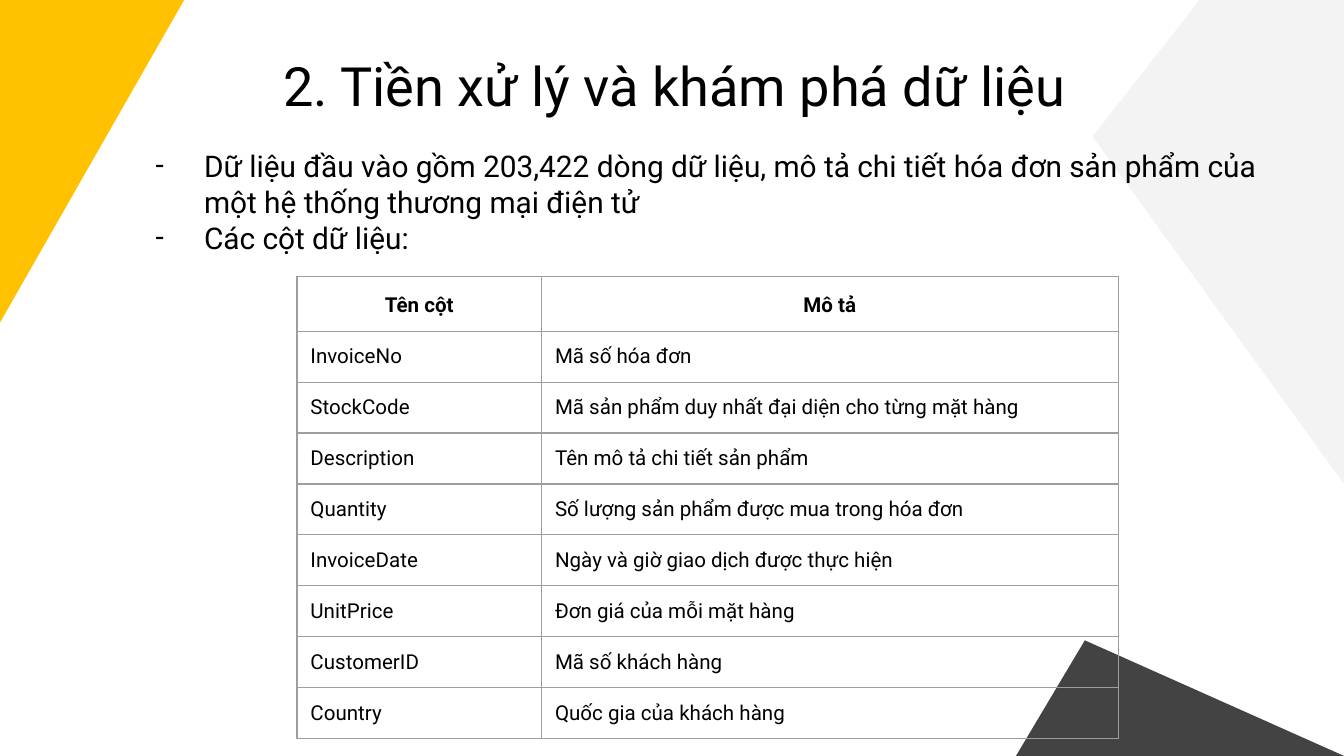
from lxml.etree import SubElement
from pptx import Presentation
from pptx.dml.color import RGBColor
from pptx.enum.shapes import MSO_SHAPE as SHAPE
from pptx.enum.text import MSO_ANCHOR as ANCHOR, MSO_AUTO_SIZE as AUTO, PP_ALIGN as ALIGN
from pptx.oxml.ns import qn
from pptx.util import Inches, Pt

FONT = "Roboto"
BLACK = RGBColor(0x00, 0x00, 0x00)
YELLOW = RGBColor(0xFF, 0xC1, 0x00)
PALE = RGBColor(0xF3, 0xF3, 0xF3)
DARK = RGBColor(0x43, 0x43, 0x43)
BORDER = RGBColor(0x9E, 0x9E, 0x9E)

WIDTH = Inches(10)
HEIGHT = WIDTH * 9 // 16
UNIT = WIDTH / 100  # square grid, 100 columns across the slide
INSET = Inches(0.1)

TITLE = "2. Tiền xử lý và khám phá dữ liệu"
POINTS = [
    "Dữ liệu đầu vào gồm 203,422 dòng dữ liệu, mô tả chi tiết hóa đơn sản phẩm "
    "của một hệ thống thương mại điện tử",
    "Các cột dữ liệu:",
]
COLUMNS = [
    ("Tên cột", "Mô tả"),
    ("InvoiceNo", "Mã số hóa đơn"),
    ("StockCode", "Mã sản phẩm duy nhất đại diện cho từng mặt hàng"),
    ("Description", "Tên mô tả chi tiết sản phẩm"),
    ("Quantity", "Số lượng sản phẩm được mua trong hóa đơn"),
    ("InvoiceDate", "Ngày và giờ giao dịch được thực hiện"),
    ("UnitPrice", "Đơn giá của mỗi mặt hàng"),
    ("CustomerID", "Mã số khách hàng"),
    ("Country", "Quốc gia của khách hàng"),
]


def grid(*units):
    """Turn grid units into lengths."""
    return [round(u * UNIT) for u in units]


def set_insets(frame):
    frame.margin_left = frame.margin_right = INSET
    frame.margin_top = frame.margin_bottom = INSET


def format_runs(p, size, bold=False):
    for r in p.runs:
        r.font.name, r.font.size, r.font.bold = FONT, Pt(size), bold
        r.font.color.rgb = BLACK


def format_frame(tf, size):
    tf.word_wrap, tf.auto_size, tf.vertical_anchor = True, AUTO.NONE, ANCHOR.TOP
    set_insets(tf)
    for p in tf.paragraphs:
        format_runs(p, size)


def add_corner(s, kind, box, color, rotation=0, apex=None):
    sp = s.shapes.add_shape(kind, *grid(*box))
    sp.shadow.inherit = False
    sp.fill.solid()
    sp.fill.fore_color.rgb = color
    sp.line.fill.background()
    sp.rotation = rotation
    if apex is not None:
        sp.adjustments[0] = apex


def place_title(s, box):
    sp = s.shapes.title
    sp.left, sp.top, sp.width, sp.height = grid(*box)
    tf = sp.text_frame
    tf.text = TITLE
    tf.paragraphs[0].alignment = ALIGN.CENTER
    format_frame(tf, 29)


def add_points(s, box):
    tf = s.shapes.add_textbox(*grid(*box)).text_frame
    tf.text = "\n".join(POINTS)
    format_frame(tf, 16)
    for p in tf.paragraphs:
        pPr = p._p.get_or_add_pPr()
        pPr.set("marL", str(Inches(0.5)))
        pPr.set("indent", str(Inches(-0.36)))
        SubElement(pPr, qn("a:buFont"), typeface=FONT)
        SubElement(pPr, qn("a:buChar"), char="-")


def add_borders(cell):
    tcPr = cell._tc.get_or_add_tcPr()
    for i, side in enumerate(("lnL", "lnR", "lnT", "lnB")):
        ln = SubElement(tcPr, qn(f"a:{side}"), w=str(Pt(0.75)))
        fill = SubElement(ln, qn("a:solidFill"))
        SubElement(fill, qn("a:srgbClr"), val=str(BORDER))
        tcPr.insert(i, ln)


def add_columns_table(s, box, split, header):
    """Draw the table; split is the first column's width, header the first row's height."""
    left, top, width, height = box
    table = s.shapes.add_table(len(COLUMNS), 2, *grid(*box)).table
    table.first_row = table.horz_banding = False
    for col, w in zip(table.columns, grid(split, width - split)):
        col.width = w
    body = (height - header) / (len(COLUMNS) - 1)
    for i, texts in enumerate(COLUMNS):
        table.rows[i].height = grid(body if i else header)[0]
        for cell, text in zip(table.rows[i].cells, texts):
            cell.text = text
            set_insets(cell)
            cell.fill.background()
            add_borders(cell)
            p = cell.text_frame.paragraphs[0]
            format_runs(p, 11, bold=i == 0)
            if i == 0:
                p.alignment, p.line_spacing = ALIGN.CENTER, 1.15


def main():
    prs = Presentation()
    prs.slide_width, prs.slide_height = WIDTH, HEIGHT
    s = prs.slides.add_slide(prs.slide_layouts[5])
    add_corner(s, SHAPE.ISOSCELES_TRIANGLE, (65.8, 1.8, 49.7, 18.7), PALE, 270, 0.52)
    add_corner(s, SHAPE.RIGHT_TRIANGLE, (-5.15, 5.15, 24, 13.7), YELLOW, 90)
    place_title(s, (5.9, 2.9, 88.6, 6.3))
    add_points(s, (9.2, 10, 87, 9.7))
    add_corner(s, SHAPE.ISOSCELES_TRIANGLE, (75.6, 47.65, 24.4, 8.6), DARK, apex=0.21)
    add_columns_table(s, (22.1, 20.6, 61.1, 33.6), split=18.2, header=4)
    prs.save("out.pptx")


if __name__ == "__main__":
    main()
